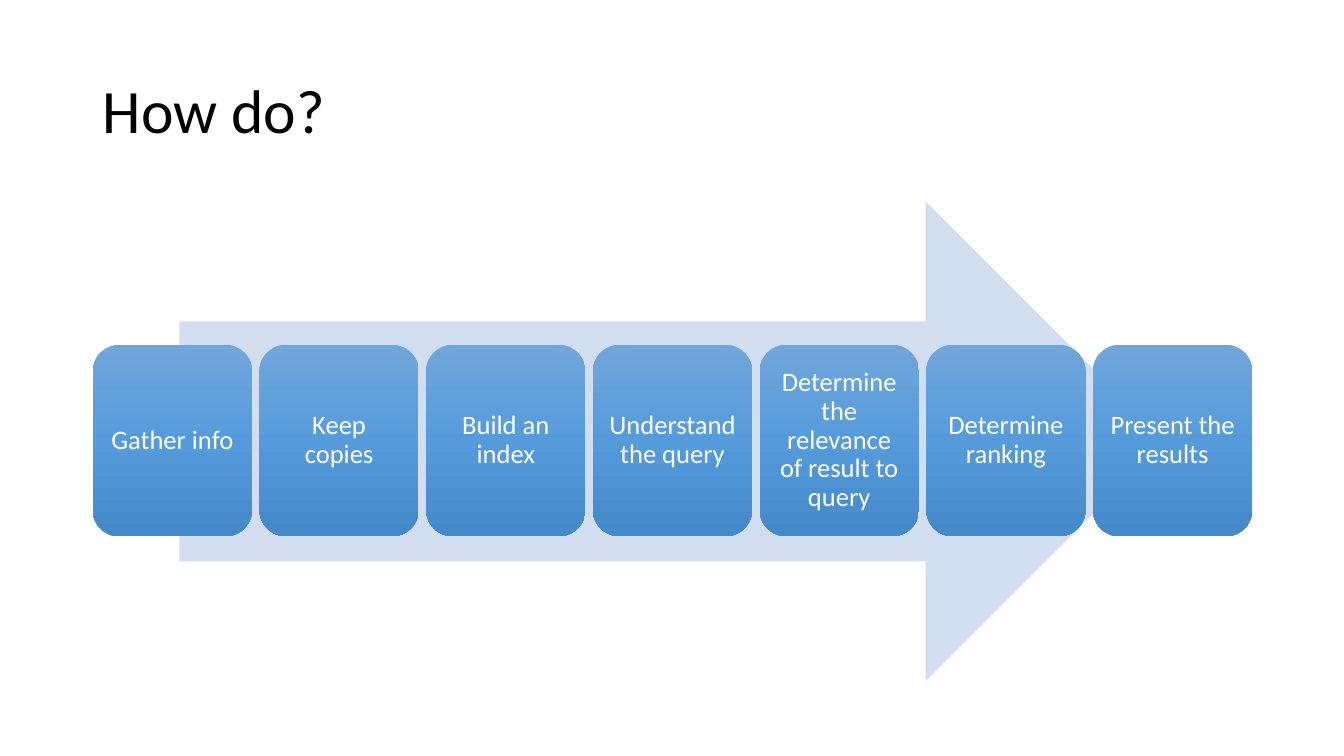
from copy import deepcopy

from pptx import Presentation
from pptx.dml.color import RGBColor
from pptx.enum.shapes import MSO_SHAPE
from pptx.enum.text import MSO_ANCHOR, PP_ALIGN
from pptx.util import Inches, Pt

COLORS = {
    "text": "000000",
    "step_text": "FFFFFF",
    "arrow": "D2DEEF",
    "step_top": "71A6DB",
    "step_middle": "559BDB",
    "step_bottom": "448ACA",
}
STEPS = [
    "Gather info",
    "Keep copies",
    "Build an index",
    "Understand the query",
    "Determine the relevance of result to query",
    "Determine ranking",
    "Present the results",
]


def color(name):
    return RGBColor.from_string(COLORS[name])


def write_text(shape, text, *, size, color_name, font="Calibri",
               align=PP_ALIGN.LEFT, inset=None):
    frame = shape.text_frame
    frame.word_wrap = True
    frame.vertical_anchor = MSO_ANCHOR.MIDDLE
    if inset is not None:
        frame.margin_left = frame.margin_right = Inches(inset)
        frame.margin_top = frame.margin_bottom = Inches(inset)
    paragraph = frame.paragraphs[0]
    paragraph.alignment = align
    paragraph.line_spacing = 0.9
    run = paragraph.add_run()
    run.text = text
    run.font.name = font
    run.font.size = Pt(size)
    run.font.color.rgb = color(color_name)


class ProcessSlide:
    """Holds the style and the current slide."""

    title_size = 44
    step_size = 19
    step_inset = 0.08
    step_gradient = [(0, "step_top"), (0.5, "step_middle"), (1, "step_bottom")]

    def __init__(self, presentation):
        self.slide = presentation.slides.add_slide(presentation.slide_layouts[6])

    def add_title(self, text, left, top, width, height):
        box = self.slide.shapes.add_textbox(
            Inches(left), Inches(top), Inches(width), Inches(height))
        write_text(box, text, size=self.title_size, color_name="text")

    def add_plain_shape(self, kind, left, top, width, height):
        shape = self.slide.shapes.add_shape(
            kind, Inches(left), Inches(top), Inches(width), Inches(height))
        shape.shadow.inherit = False
        shape.line.fill.background()
        return shape

    def add_arrow(self, left, top, width, height):
        arrow = self.add_plain_shape(MSO_SHAPE.RIGHT_ARROW, left, top, width, height)
        arrow.fill.solid()
        arrow.fill.fore_color.rgb = color("arrow")

    def add_step(self, text, left, top, width, height):
        step = self.add_plain_shape(
            MSO_SHAPE.ROUNDED_RECTANGLE, left, top, width, height)
        self.fill_step(step)
        write_text(step, text, size=self.step_size, color_name="step_text",
                   align=PP_ALIGN.CENTER, inset=self.step_inset)

    def fill_step(self, step):
        step.fill.gradient()
        step.fill.gradient_angle = 270  # counter-clockwise, so top to bottom
        # The default gradient has two stops; a third is added
        first_stop = step._element.spPr.find(".//{*}gs")
        first_stop.addnext(deepcopy(first_stop))
        for stop, (position, name) in zip(step.fill.gradient_stops, self.step_gradient):
            stop.position = position
            stop.color.rgb = color(name)


def main():
    presentation = Presentation()
    presentation.slide_width = Inches(13.33)
    presentation.slide_height = Inches(7.5)
    process = ProcessSlide(presentation)

    left, width = 0.92, 11.5

    # Title
    process.add_title("How do?", left, 0.4, width, 1.45)

    # Arrow behind the steps
    process.add_arrow(1.78, 2, 9.78, 4.76)

    # Steps, evenly spread over the content width
    step_width = 1.58
    pitch = (width - step_width) / (len(STEPS) - 1)
    for index, text in enumerate(STEPS):
        process.add_step(text, left + index * pitch, 3.42, step_width, 1.9)

    presentation.save("out.pptx")


if __name__ == "__main__":
    main()
